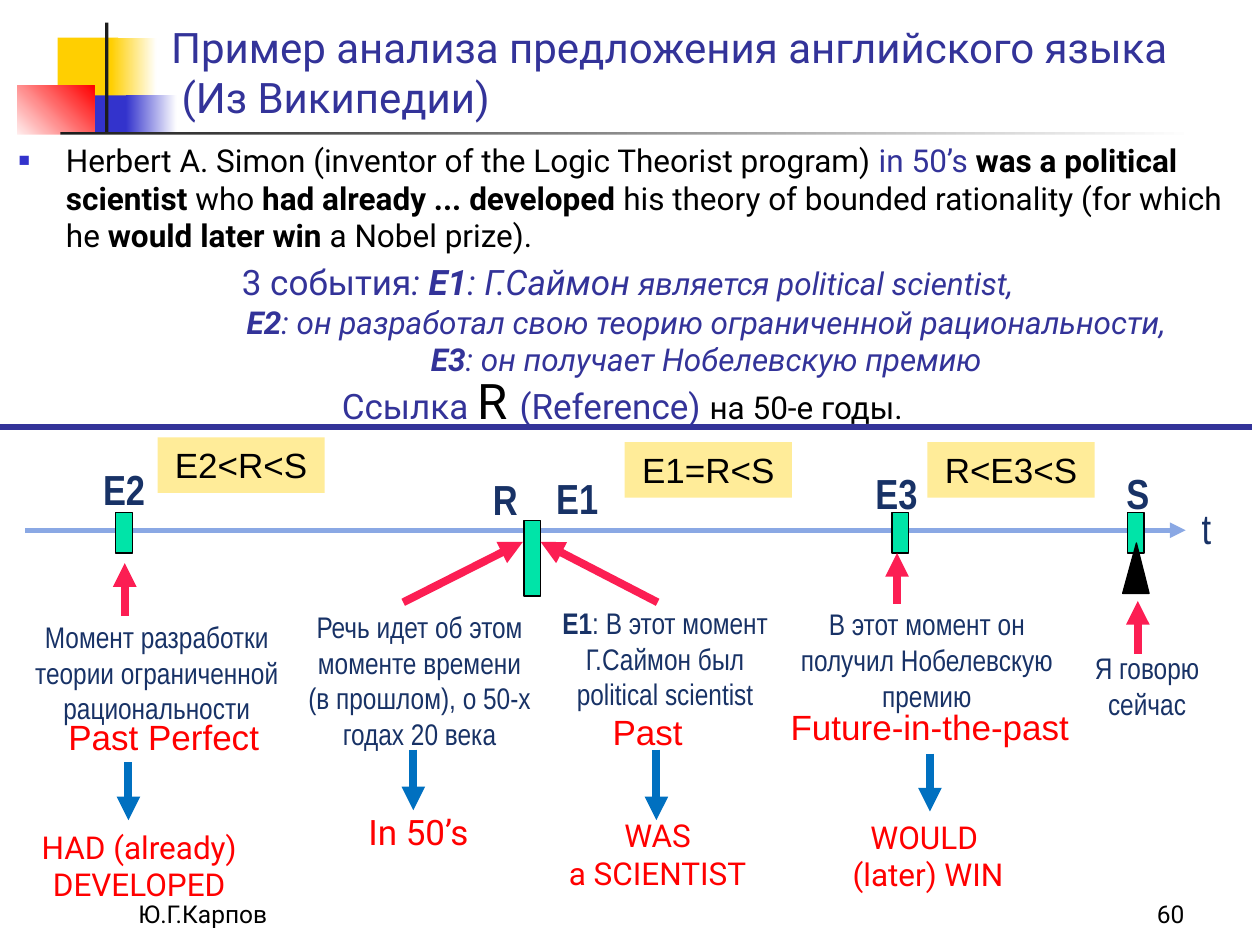
"""Builds a timeline slide that analyses the tenses of an English sentence."""
from lxml.etree import SubElement
from pptx import Presentation
from pptx.dml.color import RGBColor
from pptx.enum.shapes import MSO_CONNECTOR, MSO_SHAPE
from pptx.enum.text import MSO_ANCHOR, PP_ALIGN
from pptx.oxml.ns import qn
from pptx.util import Pt

BLACK = RGBColor(0x00, 0x00, 0x00)
WHITE = RGBColor(0xFF, 0xFF, 0xFF)
CHARCOAL = RGBColor(0x1C, 0x1C, 0x1C)
GOLD = RGBColor(0xFF, 0xCF, 0x01)
BLUE = RGBColor(0x33, 0x33, 0xCC)
INDIGO = RGBColor(0x33, 0x33, 0x99)
NAVY = RGBColor(0x18, 0x32, 0x66)
RED = RGBColor(0xFF, 0x00, 0x00)
PINK = RGBColor(0xFC, 0x1E, 0x53)
AZURE = RGBColor(0x00, 0x70, 0xC0)
SKY = RGBColor(0x8A, 0xA8, 0xE4)
MINT = RGBColor(0x00, 0xE4, 0xA8)
CREAM = RGBColor(0xFF, 0xEC, 0x99)

BOLD = {"bold": True}
ITALIC = {"italic": True}
BOLD_ITALIC = {"bold": True, "italic": True}
HEADING = {"name": "Roboto", "size": Pt(24), "color": INDIGO}
SENTENCE = {"name": "Roboto", "size": Pt(18), "color": BLACK}
NOTE = {"name": "Roboto", "size": Pt(18), "color": INDIGO}
FOOTER = {"name": "Roboto", "size": Pt(14), "color": BLACK}
RESULT = {"name": "Roboto", "size": Pt(18), "color": RED}
TENSE = {"name": "Arial", "size": Pt(20), "color": RED}
RELATION = {"name": "Arial", "size": Pt(20), "color": BLACK}
POINT = {"name": "Arial Narrow", "size": Pt(24), "color": NAVY, "bold": True}
CAPTION = {"name": "Arial Narrow", "size": Pt(17), "color": NAVY}


class Board:
    """Holds the slide and draws each kind of element in its style."""

    def __init__(self, slide):
        self.slide = slide

    def finish(self, shape, fill, outline=None):
        shape.shadow.inherit = False
        shape.fill.solid()
        shape.fill.fore_color.rgb = fill
        if outline is None:
            shape.line.fill.background()
        else:
            shape.line.color.rgb = outline
            shape.line.width = Pt(0.75)

    def block(self, box, fill, outline=None):
        shape = self.slide.shapes.add_shape(MSO_SHAPE.RECTANGLE, *map(Pt, box))
        self.finish(shape, fill, outline)
        return shape

    def fade(self, box, first, last, angle=0):
        shape = self.block(box, first)
        shape.fill.gradient()
        shape.fill.gradient_angle = angle
        for stop, color in zip(shape.fill.gradient_stops, (first, last)):
            stop.color.rgb = color

    def polygon(self, points, color):
        corners = [(Pt(x), Pt(y)) for x, y in points]
        builder = self.slide.shapes.build_freeform(*corners[0], scale=1.0)
        builder.add_line_segments(corners[1:], close=True)
        self.finish(builder.convert_to_shape(), color, color)

    def line(self, ends, color, width, arrow=False):
        connector = self.slide.shapes.add_connector(MSO_CONNECTOR.STRAIGHT, *map(Pt, ends))
        connector.line.color.rgb = color
        connector.line.width = Pt(width)
        properties = connector._element.spPr
        if arrow:
            SubElement(properties.find(qn("a:ln")), qn("a:tailEnd"), type="triangle")
        SubElement(properties, qn("a:effectLst"))

    def set_text(self, shape, lines, style, align=PP_ALIGN.CENTER, anchor=MSO_ANCHOR.TOP, indents=()):
        frame = shape.text_frame
        frame.word_wrap = True
        frame.vertical_anchor = anchor
        for index, line in enumerate(lines):
            paragraph = frame.paragraphs[0] if index == 0 else frame.add_paragraph()
            paragraph.alignment = align
            if indents:
                paragraph._p.get_or_add_pPr().set("marL", str(Pt(indents[index])))
            for words, changes in [(line, {})] if isinstance(line, str) else line:
                run = paragraph.add_run()
                run.text = words
                for key, value in {**style, **changes}.items():
                    if key == "color":
                        run.font.color.rgb = value
                    else:
                        setattr(run.font, key, value)
        return frame

    def text(self, box, lines, style, **layout):
        return self.set_text(self.slide.shapes.add_textbox(*map(Pt, box)), lines, style, **layout)

    def tag(self, box, relation):
        self.set_text(self.block(box, CREAM), [relation], RELATION)

    def bullet(self, box, line, style):
        shape = self.block(box, WHITE)
        frame = self.set_text(shape, [line], style, align=PP_ALIGN.LEFT, indents=[27])
        properties = frame.paragraphs[0]._p.get_or_add_pPr()
        properties.set("indent", str(Pt(-27)))
        SubElement(SubElement(properties, qn("a:buClr")), qn("a:srgbClr"), val=str(BLUE))
        SubElement(properties, qn("a:buSzPct"), val="60000")
        SubElement(properties, qn("a:buFont"), typeface="Arial")
        SubElement(properties, qn("a:buChar"), char="■")


def draw_header(board):
    board.block((33, 21.5, 34.5, 37.5), GOLD)
    board.fade((63.5, 21.5, 26, 37.5), GOLD, WHITE)
    board.block((42.5, 54.5, 33, 37.5), BLUE)
    board.fade((72, 54.5, 29, 37.5), BLUE, WHITE)
    board.fade((10, 49, 44, 33), WHITE, RED, 45)
    board.block((60, 13, 2, 83), CHARCOAL)
    board.fade((34.5, 75.5, 648, 2), CHARCOAL, WHITE)
    board.text((90.7, 15.8, 613.4, 57.6),
               ["Пример анализа предложения английского языка", " (Из Википедии)"],
               HEADING, align=PP_ALIGN.LEFT, anchor=MSO_ANCHOR.BOTTOM)


def draw_sentence(board):
    board.bullet((3.6, 77, 707, 72), [
        ("Herbert A. Simon (inventor of the Logic Theorist program) ", {}),
        ("in 50’s ", {"color": INDIGO}), ("was a political scientist ", BOLD),
        ("who ", {}), ("had already ... developed ", BOLD),
        ("his theory of bounded rationality (for which he ", {}),
        ("would later win ", BOLD), ("a Nobel prize).", {})], SENTENCE)
    large = {"size": Pt(20)}
    board.text((6.5, 145.4, 698.4, 74.9), [
        [("3 события", large), (": ", {**large, **ITALIC}), ("E1", {**large, **BOLD_ITALIC}),
         (": Г.Саймон ", {**large, **ITALIC}), ("является political scientist,", ITALIC)],
        [("E2", BOLD_ITALIC),
         (": он разработал свою теорию ограниченной рациональности,", ITALIC)],
        [("Е3", BOLD_ITALIC), (": он получает Нобелевскую премию", ITALIC)],
    ], NOTE, indents=[6, 96, 96])
    board.text((0, 208, 701.3, 41), [[
        ("Ссылка ", large), ("R ", {"size": Pt(28), "color": BLACK}),
        ("(Reference) ", large), ("на 50-е годы.", {"color": BLACK})]], NOTE, indents=[10])
    board.line((0, 244, 715.7, 244), INDIGO, 3)


def draw_timeline(board):
    board.line((14.4, 303, 677.5, 303), SKY, 3, arrow=True)
    for left, top, relation in ((90, 250, "E2<R<S"), (357, 252.7, "E1=R<S"), (530, 252.7, "R<E3<S")):
        board.tag((left, top, 95.5, 31.7), relation)
    for left, top, height in ((66.2, 293, 23), (299.5, 297.4, 43.2), (509.8, 293, 23), (644.4, 293, 23)):
        board.block((left, top, 9.4, height), MINT, BLACK)
    board.polygon([(649.4, 310.3), (641.5, 339.1), (656.6, 339.1)], BLACK)
    for left, top, width, point in (
            (43.9, 261.4, 54, "E2"), (270.7, 267.1, 36, "R"), (308.2, 266.4, 43.2, "Е1"),
            (485.3, 263.5, 54, "E3"), (632.2, 263.5, 36, "S")):
        board.text((left, top, width, 36), [point], POINT)
    board.text((677.5, 283.7, 23.8, 36), ["t"], {**POINT, "bold": False})


def draw_explanations(board):
    for box, lines in (
            ((12.2, 350, 154.8, 69), ["Момент разработки теории ограниченной рациональности"]),
            ((166.3, 344.2, 147, 90), ["Речь идет об этом моменте времени", "(в прошлом), о 50-х годах 20 века"]),
            ((311, 342, 138.2, 69), [[("E1", BOLD), (": В этот момент Г.Саймон был political scientist", {})]]),
            ((448.6, 342.7, 162, 69), ["В этот момент он получил Нобелевскую премию"]),
            ((606.2, 368, 98.6, 48), ["Я говорю", "сейчас"])):
        board.text(box, lines, CAPTION)
    for ends in ((71.3, 352, 71.3, 321.8), (230.4, 344.2, 298.8, 309.6), (375.8, 344.2, 308.9, 309.6),
                 (512.6, 345, 512.6, 316), (650.2, 373.7, 650.2, 343.4)):
        board.line(ends, PINK, 4.5, arrow=True)
    for left, top, width, tense in ((0, 405.4, 187.2, "Past Perfect"), (331.2, 402.5, 77.8, "Past"),
                                    (437.8, 399.6, 187.2, "Future-in-the-past")):
        board.text((left, top, width, 31.7), [tense], TENSE)
    for x, top, bottom in ((73.4, 435.6, 468.7), (236.2, 428.4, 463),
                           (375.1, 428.4, 468.7), (531.4, 430.6, 463.7)):
        board.line((x, top, x, bottom), AZURE, 4.5, arrow=True)
    for box, lines, size in (
            ((14.4, 469.4, 130.3, 51.5), ["HAD (already) DEVELOPED"], 18),
            ((201.6, 459.4, 75, 31.7), ["In 50’s"], 20),
            ((296.6, 463, 158.4, 51.5), ["WAS", "a SCIENTIST"], 18),
            ((454.3, 463.7, 147.6, 51.5), ["WOULD", " (later) WIN"], 18)):
        board.text(box, lines, {**RESULT, "size": Pt(size)})


def main():
    presentation = Presentation()
    presentation.slide_width, presentation.slide_height = Pt(720), Pt(540)
    board = Board(presentation.slides.add_slide(presentation.slide_layouts[6]))
    draw_header(board)
    draw_sentence(board)
    draw_timeline(board)
    draw_explanations(board)
    for left, words, align in ((72, "Ю.Г.Карпов", PP_ALIGN.LEFT), (534, "60", PP_ALIGN.RIGHT)):
        board.text((left, 498.2, 150, 36), [words], FOOTER, align=align, anchor=MSO_ANCHOR.BOTTOM)
    presentation.save("out.pptx")


if __name__ == "__main__":
    main()
